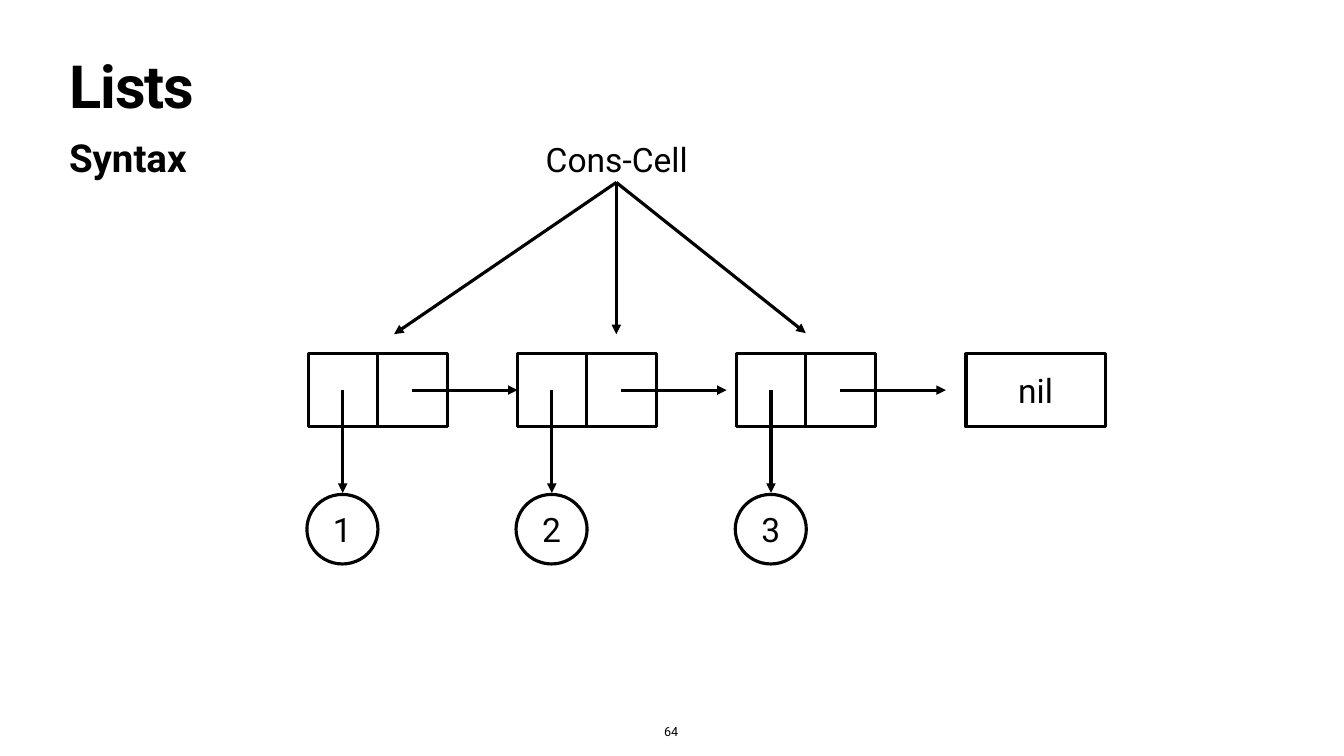
from lxml.etree import SubElement
from pptx import Presentation
from pptx.dml.color import RGBColor
from pptx.enum.shapes import MSO_CONNECTOR as Connector, MSO_SHAPE as Shape
from pptx.enum.text import MSO_ANCHOR as Anchor, MSO_AUTO_SIZE as AutoSize, PP_ALIGN as Align
from pptx.oxml.ns import qn
from pptx.util import Inches, Pt

COLORS = {"ink": "000000", "paper": "FFFFFF"}
FONT = "Roboto"
STROKE = Pt(4.5)

CELL_WIDTH, CELL_HEIGHT, CELL_TOP = 2.76, 1.45, 7.02
CELL_LEFTS = {"1": 6.12, "2": 10.27, "3": 14.62}
NIL_LEFT = 19.17
POINTER_Y = 7.74
VALUE_TOP, VALUE_WIDTH, VALUE_HEIGHT = 9.81, 1.41, 1.38
LABEL_TIP = (12.23, 3.62)
LABEL_TARGETS = [(7.82, 6.63), (12.23, 6.63), (15.99, 6.61)]


def color(name):
    return RGBColor.from_string(COLORS[name])


def write(shape, text, size, bold=False, align=Align.CENTER, anchor=Anchor.MIDDLE,
          inset=0.06, wrap=True):
    frame = shape.text_frame
    frame.text = text
    frame.word_wrap = wrap
    frame.auto_size = AutoSize.NONE
    frame.vertical_anchor = anchor
    frame.margin_left = frame.margin_right = Inches(inset)
    frame.margin_top = frame.margin_bottom = Inches(inset)
    paragraph = frame.paragraphs[0]
    paragraph.alignment = align
    paragraph.space_before = Pt(0)
    font = paragraph.font
    font.name, font.size, font.bold = FONT, Pt(size), bold
    font.color.rgb = color("ink")
    return paragraph


def place(shape, left, top, width, height):
    shape.left, shape.top = Inches(left), Inches(top)
    shape.width, shape.height = Inches(width), Inches(height)


def add_headings(page):
    title, body = page.shapes.title, page.placeholders[1]
    place(title, 1.32, 1.18, 24.03, 1.57)
    heading = write(title, "Lists", 85, True, Align.LEFT, Anchor.TOP)
    heading.line_spacing = 0.8
    heading._p.pPr.find(qn("a:defRPr")).set("spc", "-170")

    place(body, 1.32, 2.6, 24.03, 1.02)
    subheading = write(body, "Syntax", 55, True, Align.LEFT, Anchor.TOP, 0.05)
    properties = subheading._p.pPr
    properties.set("marL", "0")
    properties.set("indent", "0")
    bullet = SubElement(properties, qn("a:buNone"))
    properties.find(qn("a:defRPr")).addprevious(bullet)


def add_text(page, text, left, top, width, height, size, **options):
    box = page.shapes.add_textbox(Inches(left), Inches(top), Inches(width), Inches(height))
    write(box, text, size, **options)


def add_outline(page, kind, left, top, width, height, text=""):
    shape = page.shapes.add_shape(kind, Inches(left), Inches(top), Inches(width), Inches(height))
    shape.shadow.inherit = False
    shape.fill.solid()
    shape.fill.fore_color.rgb = color("paper")
    shape.line.color.rgb = color("ink")
    shape.line.width = STROKE
    if text:
        write(shape, text, 48)


def add_line(page, start, end, arrow=True):
    x1, y1, x2, y2 = (Inches(value) for value in (*start, *end))
    line = page.shapes.add_connector(Connector.STRAIGHT, x1, y1, x2, y2)
    line.line.color.rgb = color("ink")
    line.line.width = STROKE
    properties = line._element.spPr
    if arrow:
        SubElement(properties.find(qn("a:ln")), qn("a:tailEnd"), type="triangle")
    SubElement(properties, qn("a:effectLst"))


def add_cons_cell(page, value, left):
    """Draw a two-part cell that points to its value below and to the next cell."""
    divider, value_x, next_x = left + 1.37, left + 0.68, left + 2.05
    add_outline(page, Shape.RECTANGLE, left, CELL_TOP, CELL_WIDTH, CELL_HEIGHT)
    add_line(page, (divider, CELL_TOP), (divider, CELL_TOP + CELL_HEIGHT), arrow=False)
    add_line(page, (value_x, POINTER_Y), (value_x, VALUE_TOP - 0.03))
    add_line(page, (next_x, POINTER_Y), (next_x + 2.1, POINTER_Y))
    add_outline(page, Shape.FLOWCHART_CONNECTOR, left - 0.03, VALUE_TOP,
                VALUE_WIDTH, VALUE_HEIGHT, value)


def main():
    deck = Presentation()
    deck.slide_width, deck.slide_height = Inches(26.67), Inches(15)
    page = deck.slides.add_slide(deck.slide_layouts[1])
    add_headings(page)
    for value, left in CELL_LEFTS.items():
        add_cons_cell(page, value, left)
    add_outline(page, Shape.RECTANGLE, NIL_LEFT, CELL_TOP, CELL_WIDTH, CELL_HEIGHT, "nil")
    add_text(page, "Cons-Cell", 9.23, 2.7, 6.02, 0.92, 48)
    for target in LABEL_TARGETS:
        add_line(page, LABEL_TIP, target)
    add_text(page, "64", 13.12, 14.31, 0.4, 0.41, 18, anchor=Anchor.BOTTOM, wrap=False)
    deck.save("out.pptx")


if __name__ == "__main__":
    main()
